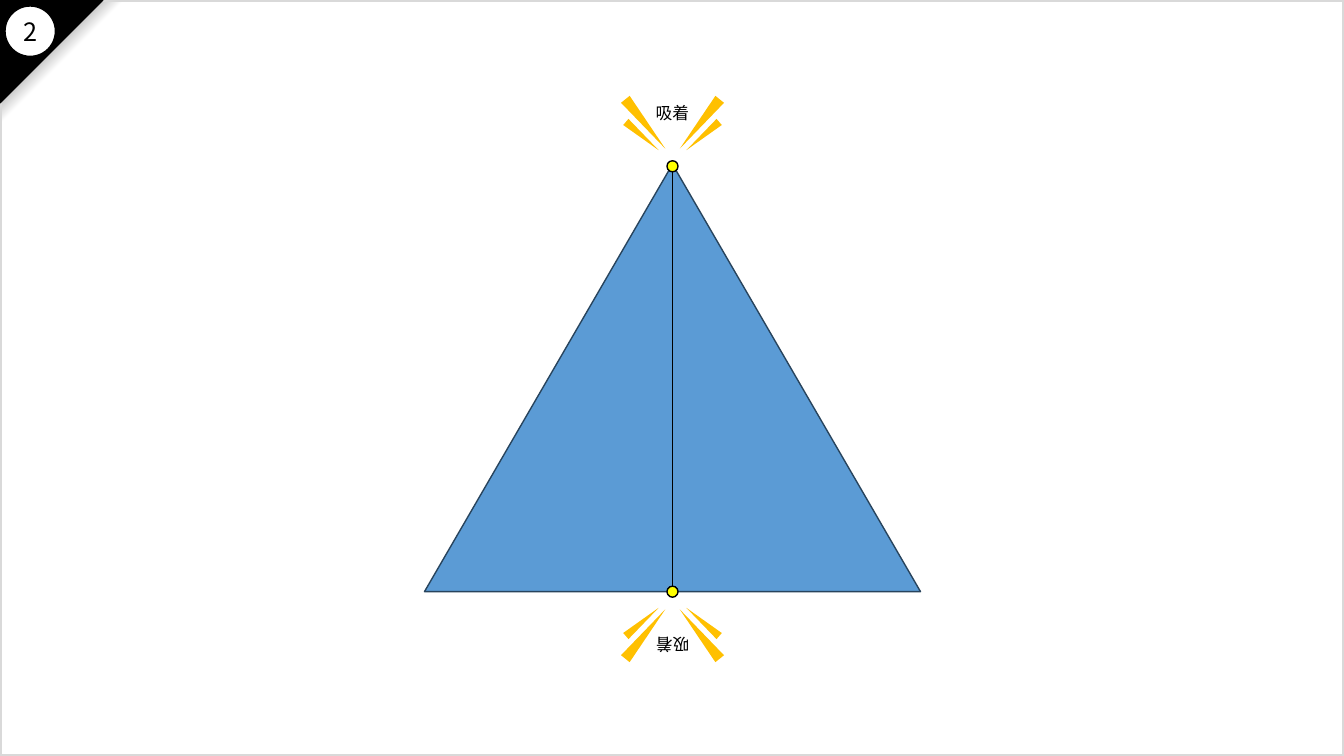
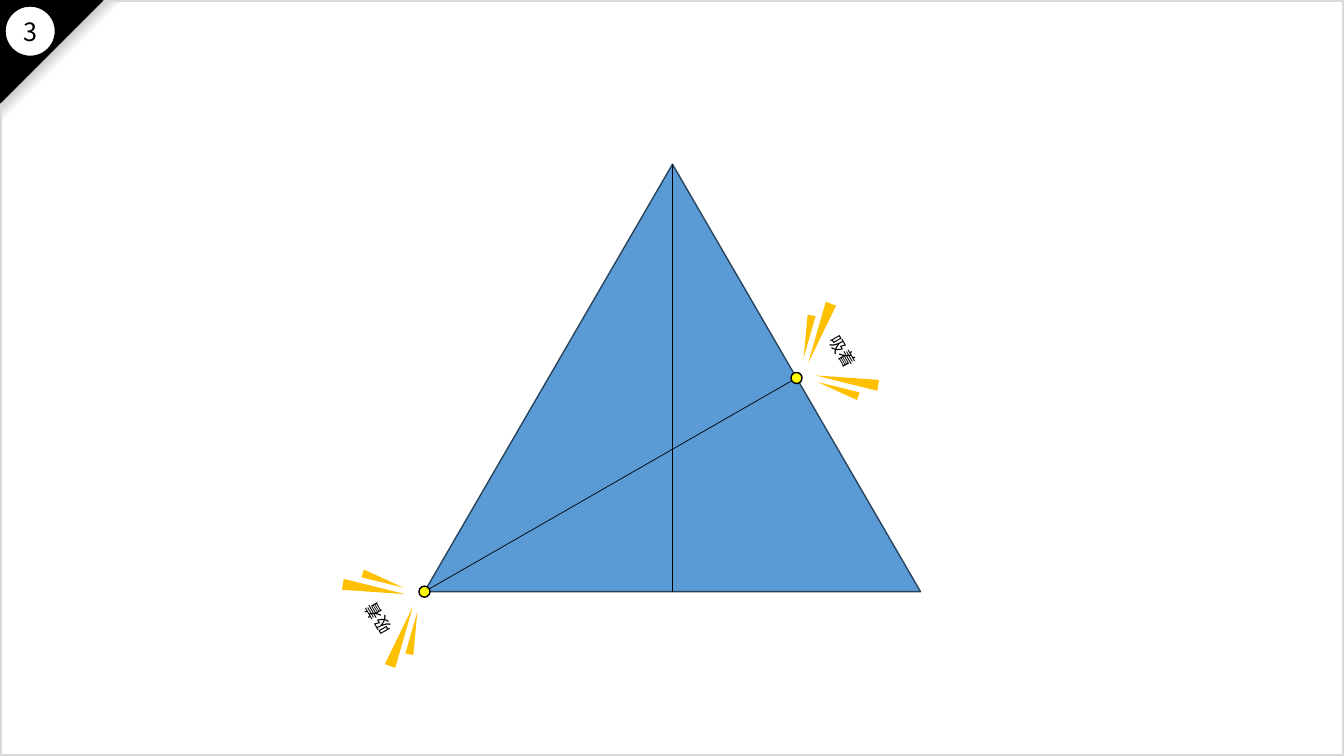
from math import cos, radians, sin

from lxml.etree import SubElement
from pptx import Presentation
from pptx.dml.color import RGBColor
from pptx.enum.shapes import MSO_CONNECTOR, MSO_SHAPE
from pptx.enum.text import MSO_ANCHOR, MSO_AUTO_SIZE, PP_ALIGN
from pptx.oxml.ns import qn
from pptx.util import Inches, Pt

BLACK = RGBColor(0, 0, 0)
WHITE = RGBColor(255, 255, 255)
FRAME_GREY = RGBColor(0xD9, 0xD9, 0xD9)
SHADE_GREY = RGBColor(0x80, 0x80, 0x80)
BLUE = RGBColor(0x5B, 0x9B, 0xD5)
DARK_BLUE = RGBColor(0x28, 0x44, 0x5D)
YELLOW = RGBColor(255, 255, 0)
ORANGE = RGBColor(255, 0xC0, 0)

FONT = "Noto Sans CJK JP"
SLIDE_WIDTH, SLIDE_HEIGHT = 13.33, 7.5
SHADE_STOPS = [(0, WHITE), (50, WHITE), (70, SHADE_GREY), (100, BLACK)]

LEFT, TOP, WIDTH, HEIGHT = 4.21, 1.63, 4.92, 4.24
APEX = (LEFT + WIDTH / 2, TOP)
LEFT_CORNER = (LEFT, TOP + HEIGHT)
BASE_MIDDLE = (APEX[0], TOP + HEIGHT)
RIGHT_MIDDLE = (LEFT + WIDTH * 3 / 4, TOP + HEIGHT / 2)
APEX_DOT = (APEX[0], TOP + 0.02)
MEDIAN = (APEX, BASE_MIDDLE)
SIDE_MEDIAN = (RIGHT_MIDDLE, LEFT_CORNER)

LABEL = "吸着"
LABEL_OFFSET = (0, -0.53)
RAYS = [
    {"offset": (0.27, -0.42), "size": (0.11, 0.63), "lean": 39},
    {"offset": (0.3, -0.3), "size": (0.08, 0.43), "lean": 49.3},
]
STEPS = [
    {"number": "2", "lines": [MEDIAN], "contacts": [(APEX_DOT, 0), (BASE_MIDDLE, 180)]},
    {
        "number": "3",
        "lines": [MEDIAN, SIDE_MEDIAN],
        "contacts": [(RIGHT_MIDDLE, 60), (LEFT_CORNER, 240)],
    },
]


def centred(centre, size):
    return centre[0] - size[0] / 2, centre[1] - size[1] / 2, *size


def turned(point, offset, angle):
    turn = radians(angle)
    x, y = offset
    return point[0] + x * cos(turn) - y * sin(turn), point[1] + x * sin(turn) + y * cos(turn)


def add_figure(page, kind, place, fill=None, line=None, width=1, angle=0):
    shape = page.shapes.add_shape(kind, *map(Inches, place))
    shape.shadow.inherit = False
    shape.rotation = angle % 360
    if fill is None:
        shape.fill.background()
    else:
        shape.fill.solid()
        shape.fill.fore_color.rgb = fill
    if line is None:
        shape.line.fill.background()
    else:
        shape.line.color.rgb = line
        shape.line.width = Pt(width)
    return shape


def add_line(page, start, end):
    line = page.shapes.add_connector(MSO_CONNECTOR.STRAIGHT, *map(Inches, start + end))
    line.line.color.rgb = BLACK
    line.line.width = Pt(0.5)
    SubElement(line._element.spPr, qn("a:effectLst"))


def add_text(page, text, centre, size, points, angle=0):
    box = page.shapes.add_textbox(*map(Inches, centred(centre, size)))
    box.rotation = angle
    frame = box.text_frame
    layout = {"word_wrap": False, "auto_size": MSO_AUTO_SIZE.SHAPE_TO_FIT_TEXT,
              "vertical_anchor": MSO_ANCHOR.TOP}
    for name, value in layout.items():
        setattr(frame, name, value)
    para = frame.paragraphs[0]
    para.alignment = PP_ALIGN.CENTER
    span = para.add_run()
    span.text = text
    for name, value in {"size": Pt(points), "name": FONT}.items():
        setattr(span.font, name, value)
    span.font.color.rgb = BLACK
    SubElement(span._r.get_or_add_rPr(), qn("a:ea"), typeface=FONT)


def add_shade(page):
    shade = add_figure(page, MSO_SHAPE.RIGHT_TRIANGLE, (0, 0, 1.23, 1.23), angle=90)
    shade.fill.gradient()
    shade.fill.gradient_angle = 225
    stops = shade._element.spPr.find(qn("a:gradFill")).find(qn("a:gsLst"))
    stops.clear()
    for position, colour in SHADE_STOPS:
        stop = SubElement(stops, qn("a:gs"), pos=str(position * 1000))
        SubElement(stop, qn("a:srgbClr"), val=str(colour))


def add_background(page):
    add_shade(page)
    add_figure(page, MSO_SHAPE.RECTANGLE, (0, 0, SLIDE_WIDTH, SLIDE_HEIGHT),
               line=FRAME_GREY, width=3)
    add_figure(page, MSO_SHAPE.RIGHT_TRIANGLE, (0, 0, 1.02, 1.02), BLACK, BLACK, angle=90)
    add_figure(page, MSO_SHAPE.OVAL, (0.05, 0.06, 0.5, 0.5), WHITE, BLACK)


def add_contact(page, point, angle):
    add_figure(page, MSO_SHAPE.OVAL, centred(point, (0.11, 0.11)), YELLOW, BLACK)
    add_text(page, LABEL, turned(point, LABEL_OFFSET, angle), (0.54, 0.3), 12, angle)
    for ray in RAYS:
        x, y = ray["offset"]
        for side in (1, -1):
            centre = turned(point, (side * x, y), angle)
            add_figure(page, MSO_SHAPE.ISOSCELES_TRIANGLE, centred(centre, ray["size"]),
                       ORANGE, angle=180 + side * ray["lean"] + angle)


def add_step(deck, step):
    page = deck.slides.add_slide(deck.slide_layouts[6])
    add_background(page)
    add_figure(page, MSO_SHAPE.ISOSCELES_TRIANGLE, (LEFT, TOP, WIDTH, HEIGHT), BLUE, DARK_BLUE)
    for start, end in step["lines"]:
        add_line(page, start, end)
    for point, angle in step["contacts"]:
        add_contact(page, point, angle)
    add_text(page, step["number"], (0.3, 0.31), (0.36, 0.4), 18)


def main():
    """Build the slides that show where the triangle is held at each step."""
    deck = Presentation()
    deck.slide_width = Inches(SLIDE_WIDTH)
    deck.slide_height = Inches(SLIDE_HEIGHT)
    for step in STEPS:
        add_step(deck, step)
    deck.save("out.pptx")


if __name__ == "__main__":
    main()
